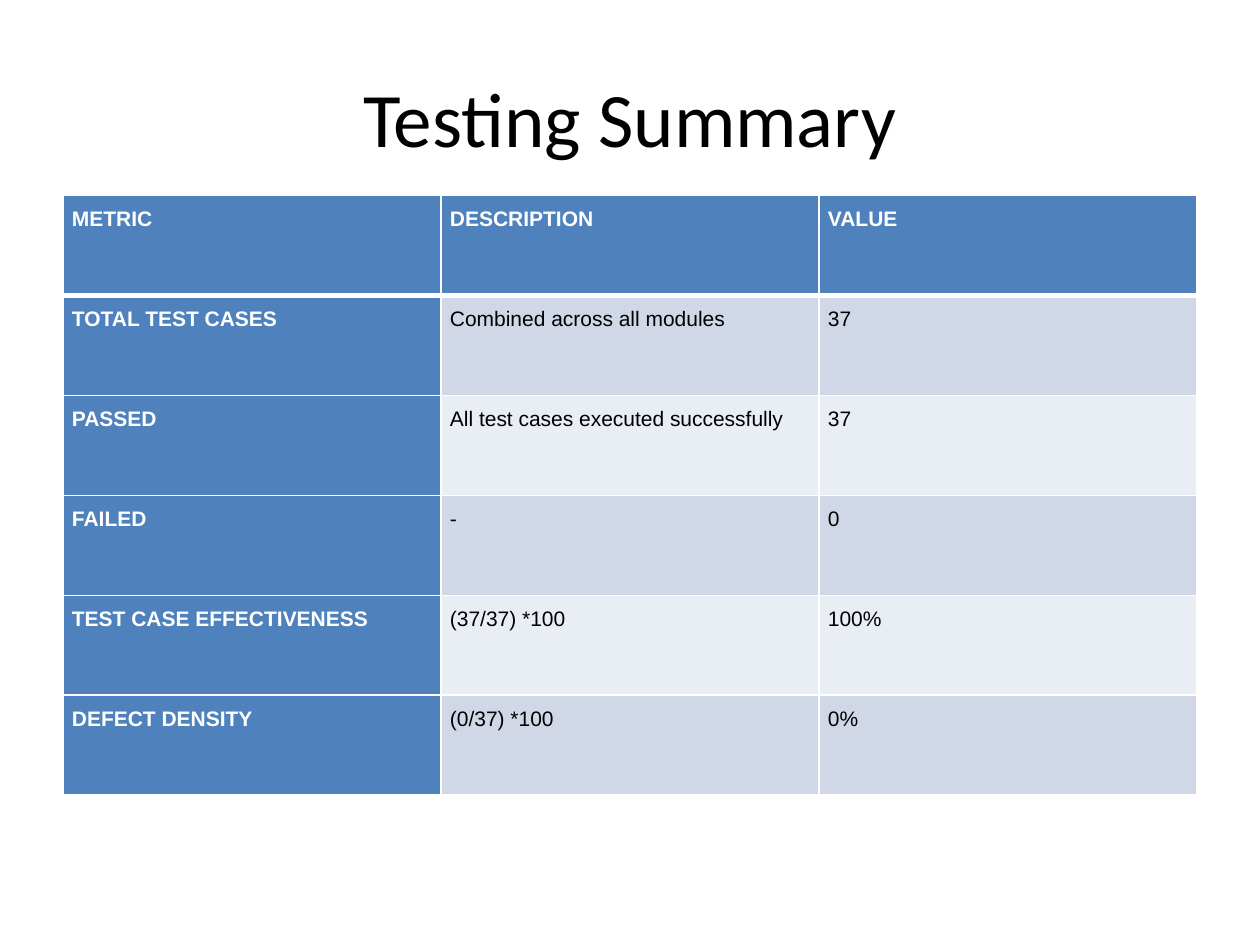
import dataclasses

import lxml.etree
import pptx
import pptx.dml.color
import pptx.enum.text
import pptx.oxml.ns
import pptx.util

Cm = pptx.util.Cm
Pt = pptx.util.Pt
Align = pptx.enum.text.PP_ALIGN
Anchor = pptx.enum.text.MSO_ANCHOR


@dataclasses.dataclass(frozen=True)
class Theme:
    header: str = "4F81BD"
    odd_band: str = "D0D8E8"
    even_band: str = "E9EDF4"
    light: str = "FFFFFF"
    dark: str = "000000"
    title_font: str = "Calibri"
    body_font: str = "Arial"
    title_size: int = 44
    body_size: int = 12


THEME = Theme()


def write(frame, text, font, size, color, align, bold=False, spacing=None):
    frame.word_wrap = True
    paragraph = frame.paragraphs[0]
    paragraph.alignment = align
    paragraph.line_spacing = spacing
    run = paragraph.add_run()
    run.text = text
    run.font.name = font
    run.font.size = Pt(size)
    run.font.bold = bold
    run.font.color.rgb = pptx.dml.color.RGBColor.from_string(color)


def set_borders(cell, color, **widths):
    """Draw cell sides L, R, T, B, given in that order with widths in points."""
    properties = cell._tc.get_or_add_tcPr()
    for position, (side, width) in enumerate(widths.items()):
        line = lxml.etree.Element(pptx.oxml.ns.qn(f"a:ln{side}"), w=str(Pt(width)))
        fill = lxml.etree.SubElement(line, pptx.oxml.ns.qn("a:solidFill"))
        lxml.etree.SubElement(fill, pptx.oxml.ns.qn("a:srgbClr"), val=color)
        properties.insert(position, line)


presentation = pptx.Presentation()
presentation.slide_width = Cm(25.4)
presentation.slide_height = Cm(19.05)
slide = presentation.slides.add_slide(presentation.slide_layouts[5])

left, width = Cm(1.27), Cm(22.86)

title = slide.shapes.title
title.left, title.top, title.width, title.height = left, Cm(0.76), width, Cm(3.18)
title.text_frame.vertical_anchor = Anchor.MIDDLE
write(title.text_frame, "Testing Summary", font=THEME.title_font,
      size=THEME.title_size, color=THEME.dark, align=Align.CENTER)

metrics = [
    ("METRIC", "DESCRIPTION", "VALUE"),
    ("TOTAL TEST CASES", "Combined across all modules", "37"),
    ("PASSED", "All test cases executed successfully", "37"),
    ("FAILED", "-", "0"),
    ("TEST CASE EFFECTIVENESS", "(37/37) *100", "100%"),
    ("DEFECT DENSITY", "(0/37) *100", "0%"),
]
summary = slide.shapes.add_table(
    len(metrics), len(metrics[0]), left, Cm(3.94), width, Cm(12.09)).table

for row, values in enumerate(metrics):
    for column, value in enumerate(values):
        cell = summary.cell(row, column)
        cell.margin_left = cell.margin_right = Cm(0.18)
        cell.margin_top = cell.margin_bottom = 0
        is_header = row == 0 or column == 0
        band = THEME.odd_band if row % 2 else THEME.even_band
        cell.fill.solid()
        cell.fill.fore_color.rgb = pptx.dml.color.RGBColor.from_string(
            THEME.header if is_header else band)
        set_borders(cell, THEME.light, L=1, R=1,
                    T=3 if row == 1 else 1, B=3 if row == 0 else 1)
        write(cell.text_frame, value, font=THEME.body_font, size=THEME.body_size,
              color=THEME.light if is_header else THEME.dark,
              align=Align.JUSTIFY, bold=is_header, spacing=1.5)

presentation.save("out.pptx")
